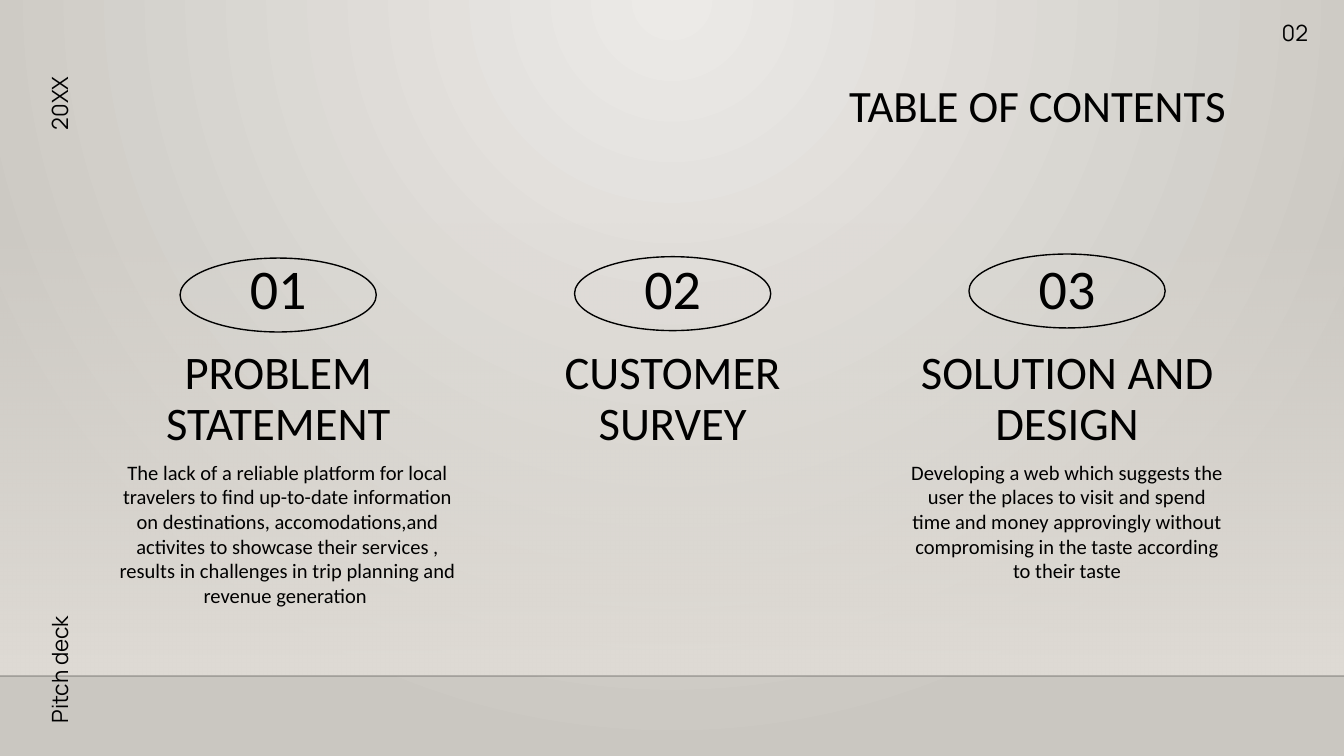
from dataclasses import dataclass

from lxml.etree import SubElement
from pptx import Presentation
from pptx.dml.color import RGBColor
from pptx.enum.shapes import MSO_CONNECTOR, MSO_SHAPE
from pptx.enum.text import MSO_ANCHOR as Anchor, PP_ALIGN as Align
from pptx.oxml.ns import qn
from pptx.util import Inches, Pt


@dataclass(frozen=True)
class Theme:
    ink: RGBColor = RGBColor(0, 0, 0)
    glow: RGBColor = RGBColor(0xEC, 0xEA, 0xE7)
    edge: RGBColor = RGBColor(0xCA, 0xC7, 0xC1)
    haze: RGBColor = RGBColor(0xDF, 0xDB, 0xD5)
    main_font: str = "Calibri"
    label_font: str = "Manrope"
    title_size: int = 24
    heading_size: int = 25
    number_size: int = 30
    body_size: int = 11
    label_size: int = 12


THEME = Theme()
WIDTH = 10
HEIGHT = WIDTH * 9 / 16
HORIZON = 5.03
CONTENT_LEFT, CONTENT_WIDTH = 0.79, 8.43
COLUMN_TOP, COLUMN_WIDTH = 1.84, 2.56
OVAL_WIDTH, NUMBER_WIDTH = 1.46, 1.39

# number, oval drop below the column top, heading, body, body width and height
SECTIONS = [
    ("01", 0.08, "PROBLEM STATEMENT",
     "The lack of a reliable platform for local travelers to find up-to-date "
     "information on destinations, accomodations,and activites to showcase their "
     "services , results in challenges in trip planning and revenue generation ",
     2.7, 1.61),
    ("02", 0.07, "CUSTOMER SURVEY", None, 0, 0),
    ("03", 0.05, "SOLUTION AND DESIGN",
     "Developing a web which suggests the user the places to visit and spend time "
     "and money approvingly without compromising in the taste according to their taste",
     2.56, 1.29),
]


def set_all(target, values):
    for name, value in values.items():
        setattr(target, name, value)


def set_alpha(color_element, percent):
    SubElement(color_element, qn("a:alpha"), val=str(percent * 1000))


def add_text(slide, box, text, size, font=THEME.main_font, align=Align.CENTER,
             anchor=Anchor.MIDDLE, spacing=0.9, rotation=0):
    shape = slide.shapes.add_textbox(*map(Inches, box))
    shape.rotation = rotation
    inset = Inches(0.1)
    set_all(shape.text_frame, {
        "word_wrap": True, "vertical_anchor": anchor,
        "margin_left": inset, "margin_right": inset,
        "margin_top": inset, "margin_bottom": inset,
    })
    paragraph = shape.text_frame.paragraphs[0]
    set_all(paragraph, {"alignment": align, "line_spacing": spacing})
    run = paragraph.add_run()
    run.text = text
    set_all(run.font, {"size": Pt(size), "name": font})
    run.font.color.rgb = THEME.ink


def set_gradient(fill, colors):
    fill.gradient()
    for stop, color, position in zip(fill.gradient_stops, colors, (0, 1)):
        stop.color.rgb = color
        stop.position = position


def add_backdrop(slide):
    """Radial glow from the top centre, with a haze that ends at the horizon."""
    set_gradient(slide.background.fill, (THEME.glow, THEME.edge))
    gradient = slide.element.find(".//" + qn("a:gradFill"))
    gradient.remove(gradient.find(qn("a:lin")))
    circle = SubElement(gradient, qn("a:path"), path="circle")
    SubElement(circle, qn("a:fillToRect"), l="43000", t="0", r="43000", b="100000")

    haze = slide.shapes.add_shape(
        MSO_SHAPE.RECTANGLE, *map(Inches, (0, 1.66, WIDTH, HORIZON - 1.66)))
    haze.shadow.inherit = False
    haze.line.fill.background()
    set_gradient(haze.fill, (THEME.haze, THEME.haze))
    haze.fill.gradient_angle = 270
    set_alpha(haze.element.find(".//" + qn("a:srgbClr")), 0)

    horizon = slide.shapes.add_connector(
        MSO_CONNECTOR.STRAIGHT, *map(Inches, (0, HORIZON, WIDTH, HORIZON)))
    horizon.line.width = Pt(1)
    horizon.line.color.rgb = THEME.ink
    set_alpha(horizon.element.find(".//" + qn("a:srgbClr")), 20)
    SubElement(horizon.element.spPr, qn("a:effectLst"))


def add_section(slide, left, top, section):
    number, oval_drop, heading, body, body_width, body_height = section
    center = left + COLUMN_WIDTH / 2
    oval = slide.shapes.add_shape(
        MSO_SHAPE.OVAL,
        *map(Inches, (center - OVAL_WIDTH / 2, top + oval_drop, OVAL_WIDTH, 0.55)))
    oval.shadow.inherit = False
    oval.fill.background()
    oval.line.width = Pt(0.75)
    oval.line.color.rgb = THEME.ink

    add_text(slide, (center - NUMBER_WIDTH / 2, top, NUMBER_WIDTH, 0.65), number,
             THEME.number_size)
    add_text(slide, (left, top + 0.69, COLUMN_WIDTH, 0.92), heading,
             THEME.heading_size, anchor=Anchor.BOTTOM)
    if body:
        add_text(slide, (left, top + 1.48, body_width, body_height), body,
                 THEME.body_size, anchor=Anchor.TOP, spacing=1.0)


def add_labels(slide):
    """Deck name and year up the left edge, page number at top right."""
    for text, box, align, rotation in (
        ("Pitch deck", (-0.2, 4.69, 1.28, 0.3), Align.LEFT, 270),
        ("20XX", (-0.2, 0.96, 1.28, 0.3), Align.RIGHT, 270),
        ("02", (9.41, 0.09, 0.45, 0.3), Align.CENTER, 0),
    ):
        add_text(slide, box, text, THEME.label_size, font=THEME.label_font,
                 align=align, spacing=1.0, rotation=rotation)


def main():
    presentation = Presentation()
    set_all(presentation, {"slide_width": Inches(WIDTH), "slide_height": Inches(HEIGHT)})
    slide = presentation.slides.add_slide(presentation.slide_layouts[6])

    add_backdrop(slide)
    add_text(slide, (CONTENT_LEFT, 0.49, CONTENT_WIDTH, 0.63), "TABLE OF CONTENTS",
             THEME.title_size, align=Align.RIGHT)
    step = (CONTENT_WIDTH - COLUMN_WIDTH) / (len(SECTIONS) - 1)
    for index, section in enumerate(SECTIONS):
        add_section(slide, CONTENT_LEFT + index * step, COLUMN_TOP, section)
    add_labels(slide)
    presentation.save("out.pptx")


if __name__ == "__main__":
    main()
